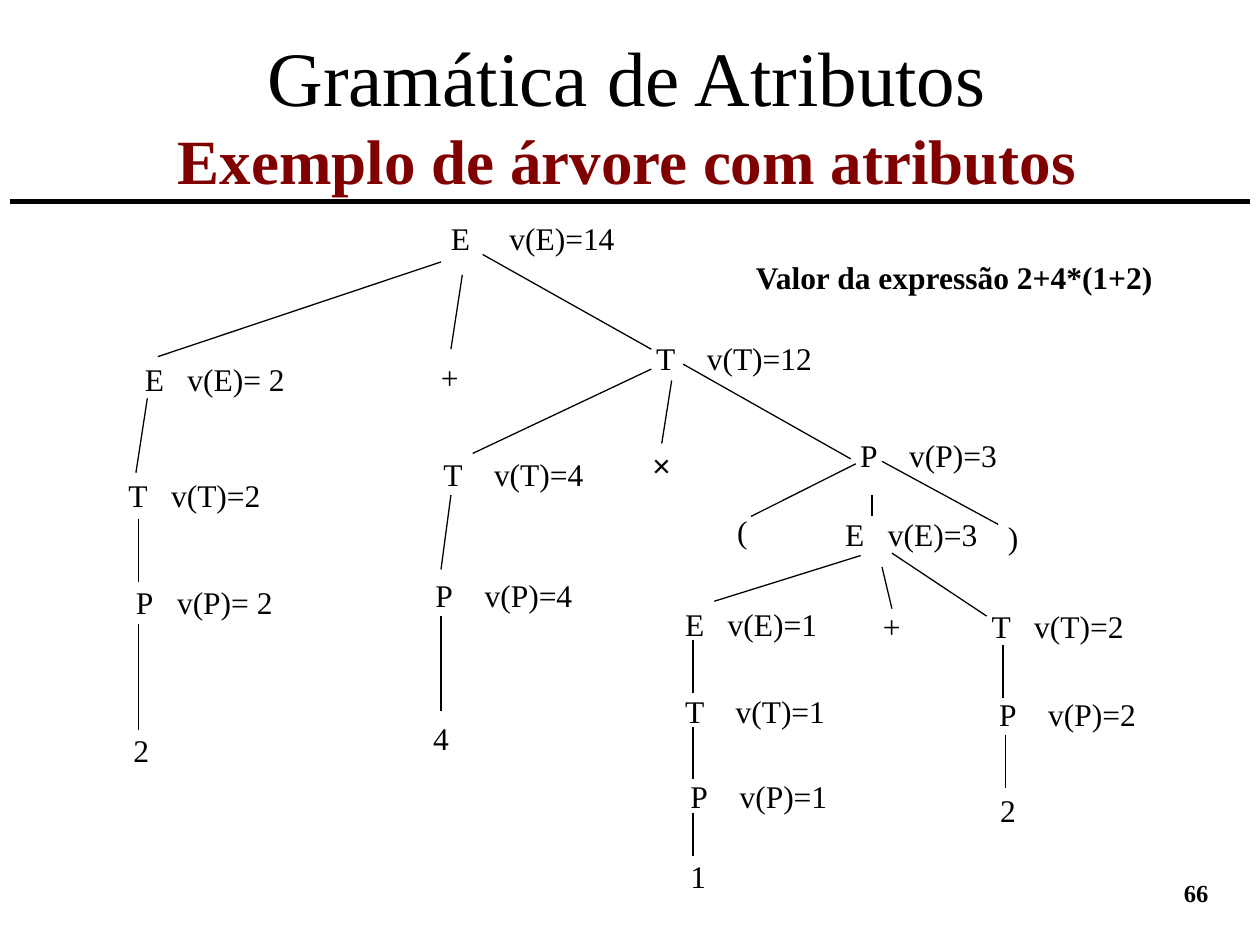
"""Build a slide showing an attribute grammar tree for the expression 2+4*(1+2)."""
import pptx
import pptx.dml.color
import pptx.enum.shapes
import pptx.enum.text
import pptx.oxml.ns
import pptx.util
from lxml import etree

Cm = pptx.util.Cm
ALIGN = pptx.enum.text.PP_ALIGN
BLACK = pptx.dml.color.RGBColor(0x00, 0x00, 0x00)
MAROON = pptx.dml.color.RGBColor(0x80, 0x00, 0x00)
SERIF, SANS = "Times New Roman", "Arial"
ROW_H = 1.02

TITLE = [
    ("Gramática de Atributos", {"size": 44, "color": BLACK, "bold": False}),
    ("Exemplo de árvore com atributos", {"size": 36, "color": MAROON, "bold": True}),
]
# (symbol, value, left, top, width, tab)
NODES = [
    ("E", "v(E)=14", 8.84, 4.29, 4, 1.18),
    ("E", "v(E)= 2", 2.67, 7.14, 3.5, 0.86),
    ("T", "v(T)=12", 12.98, 6.71, 3.8, 1.02),
    ("T", "v(T)=2", 2.34, 9.47, 3.4, 0.86),
    ("P", "v(P)= 2", 2.49, 11.63, 3.5, 0.83),
    ("T", "v(T)=4", 8.69, 9.04, 3.5, 1.02),
    ("P", "v(P)=4", 8.53, 11.48, 3.5, 0.99),
    ("P", "v(P)=3", 17.09, 8.66, 3.5, 0.99),
    ("E", "v(E)=3", 16.79, 10.26, 3.4, 0.86),
    ("E", "v(E)=1", 13.56, 12.07, 3.4, 0.86),
    ("T", "v(T)=1", 13.56, 13.82, 3.5, 1.02),
    ("P", "v(P)=1", 13.67, 15.54, 3.75, 0.99),
    ("T", "v(T)=2", 19.74, 12.12, 3.4, 0.86),
    ("P", "v(P)=2", 19.89, 13.89, 3.5, 0.99),
]
LEAVES = [
    ("+", 8.64, 7.09, 0.86, SERIF),
    ("×", 12.9, 8.86, 1.02, SANS),
    ("2", 2.44, 14.61, 0.81, SERIF),
    ("4", 8.48, 14.38, 0.81, SERIF),
    ("(", 14.61, 10.19, 0.71, SERIF),
    (")", 20.07, 10.31, 0.71, SERIF),
    ("+", 17.55, 12.12, 0.86, SERIF),
    ("1", 13.67, 17.15, 0.81, SERIF),
    ("2", 19.91, 15.82, 0.81, SERIF),
]
BRANCHES = [
    (8.89, 5.28, 3.18, 7.19), (9.32, 5.54, 9.09, 7.04), (9.73, 5.13, 13.13, 7.04),
    (13.13, 7.44, 9.53, 9.14), (13.54, 7.67, 13.34, 8.94), (13.77, 7.34, 17.15, 9.25),
    (2.97, 8.03, 2.74, 9.53), (2.79, 10.46, 2.79, 11.73), (2.79, 12.57, 2.79, 14.71),
    (9.09, 9.98, 8.89, 11.48), (8.89, 12.42, 8.89, 14.33),
    (17.25, 9.35, 15.14, 10.41), (17.58, 9.98, 17.58, 10.41), (17.78, 9.3, 20.12, 10.57),
    (17.35, 11.2, 14.4, 12.12), (17.78, 11.43, 17.98, 12.27), (17.98, 11.15, 19.89, 12.42),
    (13.97, 12.9, 13.97, 13.97), (13.97, 14.66, 13.97, 15.7), (13.97, 16.38, 13.97, 17.25),
    (20.22, 13, 20.22, 14.07), (20.27, 14.81, 20.27, 15.88),
]


def style(font, size=18, color=BLACK, bold=False, name=SERIF):
    for key, value in {"name": name, "size": pptx.util.Pt(size), "bold": bold}.items():
        setattr(font, key, value)
    font.color.rgb = color


def add_text(s, text, left, top, width, height=ROW_H, tab=None, align=ALIGN.LEFT, **fmt):
    sp = s.shapes.add_textbox(Cm(left), Cm(top), Cm(width), Cm(height))
    sp.text_frame.word_wrap = True
    p = sp.text_frame.paragraphs[0]
    p.alignment = align
    if tab:
        tabs = etree.SubElement(p._p.get_or_add_pPr(), pptx.oxml.ns.qn("a:tabLst"))
        etree.SubElement(tabs, pptx.oxml.ns.qn("a:tab"), pos=str(Cm(tab)), algn="l")
    r = p.add_run()
    r.text = text
    style(r.font, **fmt)


def add_line(s, ends, width):
    line = s.shapes.add_connector(
        pptx.enum.shapes.MSO_CONNECTOR.STRAIGHT, *[Cm(v) for v in ends])
    line.line.color.rgb = BLACK
    line.line.width = pptx.util.Pt(width)
    etree.SubElement(line._element.spPr, pptx.oxml.ns.qn("a:effectLst"))


def set_title(s):
    sp = s.shapes.title
    box = {"left": 0.64, "top": 0.69, "width": 24, "height": 3.2}
    for key, value in box.items():
        setattr(sp, key, Cm(value))
    tf = sp.text_frame
    tf.auto_size = pptx.enum.text.MSO_AUTO_SIZE.NONE
    tf.vertical_anchor = pptx.enum.text.MSO_ANCHOR.MIDDLE
    p = tf.paragraphs[0]
    p.alignment = ALIGN.CENTER
    for i, (text, fmt) in enumerate(TITLE):
        if i:
            p.add_line_break()
        r = p.add_run()
        r.text = text
        style(r.font, **fmt)


def main():
    prs = pptx.Presentation()
    prs.slide_width, prs.slide_height = Cm(25.4), Cm(19.05)
    s = prs.slides.add_slide(prs.slide_layouts[5])
    set_title(s)
    add_line(s, (0.2, 4.06, 25.2, 4.06), 3)
    for ends in BRANCHES:
        add_line(s, ends, 0.75)
    for symbol, value, left, top, width, tab in NODES:
        add_text(s, f"{symbol}\t{value}", left, top, width, tab=tab)
    for text, left, top, width, name in LEAVES:
        add_text(s, text, left, top, width, name=name)
    add_text(s, "Valor da expressão 2+4*(1+2)", 14.99, 5.08, 8.8, bold=True)
    add_text(s, "66", 22.86, 17.58, 1.75, 1.27, align=ALIGN.RIGHT, size=14, bold=True)
    prs.save("out.pptx")


if __name__ == "__main__":
    main()
